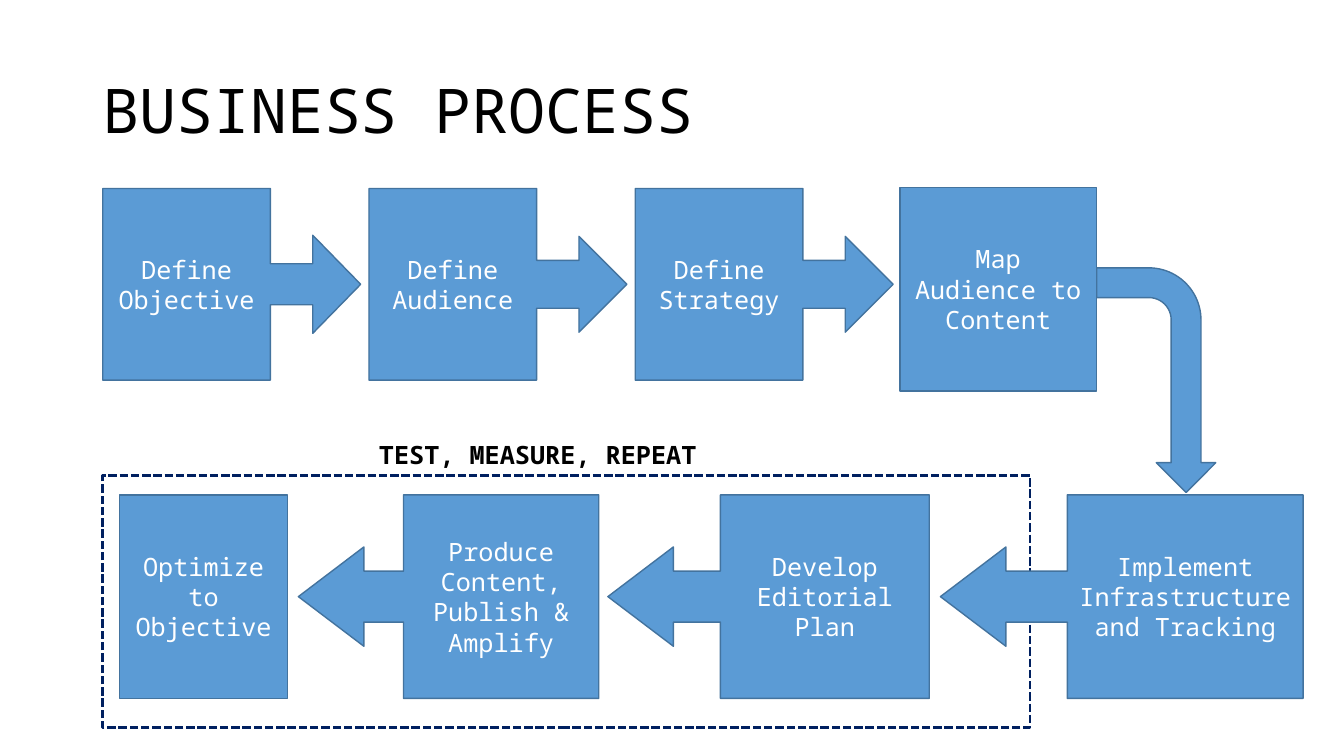
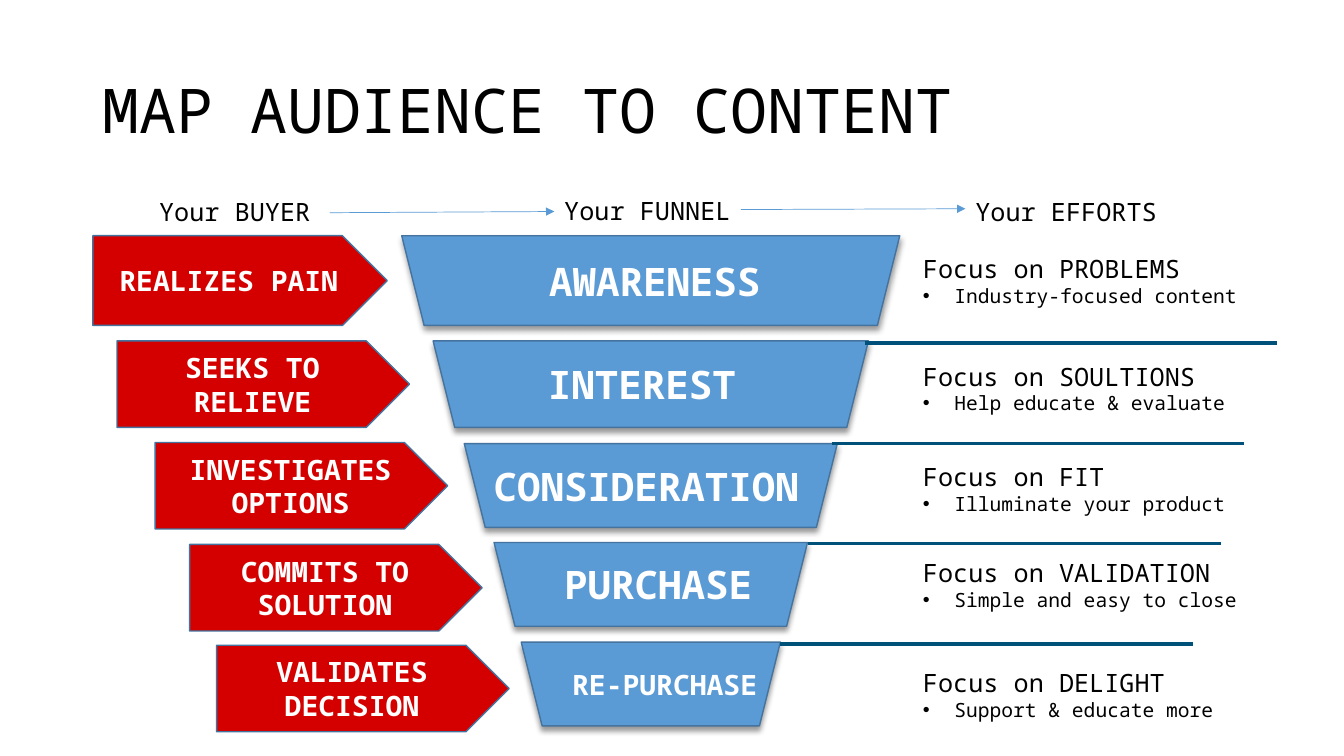
from lxml import etree
from pptx import Presentation
from pptx import util as u
from pptx.dml import color
from pptx.enum import dml, shapes, text
from pptx.oxml import ns

Cm = u.Cm
KIND = shapes.MSO_SHAPE
ALIGN = text.PP_ALIGN
ANCHOR = text.MSO_ANCHOR


def rgb(code):
    return color.RGBColor.from_string(code)


def child(parent, tag, **attributes):
    return etree.SubElement(parent, ns.qn(tag), attributes)


def write(paragraph, words, size=18, ink="000000", bold=False,
          align=ALIGN.LEFT, spacing=None, bullet=False):
    paragraph.alignment = align
    if spacing:
        paragraph.line_spacing = spacing
    if bullet:
        properties = paragraph._p.get_or_add_pPr()
        properties.set("marL", str(Cm(0.79)))
        properties.set("indent", str(-Cm(0.79)))
        child(properties, "a:buFont", typeface="Arial")
        child(properties, "a:buChar", char="•")
    run = paragraph.add_run()
    run.text = words
    run.font.name = Deck.FONT
    run.font.size = u.Pt(size)
    run.font.bold = bold
    run.font.color.rgb = rgb(ink)


class Deck:
    FONT = "Noto Sans Mono"
    BLUE, EDGE, NAVY = "5B9BD5", "43739E", "002060"
    RED, TEAL, WHITE = "D40000", "00517A", "FFFFFF"

    def __init__(self):
        self.show = Presentation()
        self.show.slide_width, self.show.slide_height = Cm(33.87), Cm(19.05)
        self.slide = None

    def new_slide(self, title):
        self.slide = self.show.slides.add_slide(self.show.slide_layouts[6])
        frame = self.frame(2.33, 1.02, 29.21, 3.68, ANCHOR.MIDDLE)
        write(frame.paragraphs[0], title, size=44, spacing=0.9)

    def frame(self, left, top, width, height, anchor=ANCHOR.TOP):
        box = self.slide.shapes.add_textbox(Cm(left), Cm(top), Cm(width), Cm(height))
        box.text_frame.word_wrap = True
        box.text_frame.vertical_anchor = anchor
        return box.text_frame

    def label(self, words, left, top, width, height=1.02, anchor=ANCHOR.TOP, **style):
        write(self.frame(left, top, width, height, anchor).paragraphs[0], words, **style)

    def block(self, kind, left, top, width, height, words="", fill=BLUE,
              adjust=(), turn=0, **style):
        block = self.slide.shapes.add_shape(kind, Cm(left), Cm(top), Cm(width), Cm(height))
        for index, value in enumerate(adjust):
            block.adjustments[index] = value
        block.rotation = turn
        block.fill.solid()
        block.fill.fore_color.rgb = rgb(fill)
        block.line.color.rgb = rgb(self.EDGE)
        block.line.width = u.Pt(1)
        block.shadow.inherit = False
        if words:
            block.text_frame.word_wrap = True
            block.text_frame.vertical_anchor = ANCHOR.MIDDLE
            write(block.text_frame.paragraphs[0], words, ink=self.WHITE,
                  align=ALIGN.CENTER, **style)
        return block

    def dashed_frame(self, left, top, width, height):
        border = self.block(KIND.RECTANGLE, left, top, width, height)
        border.fill.background()
        border.line.color.rgb = rgb(self.NAVY)
        border.line.width = u.Pt(2)
        border.line.dash_style = dml.MSO_LINE.SQUARE_DOT

    def funnel_stage(self, *place):
        stage = self.block(KIND.TRAPEZOID, *place, turn=180)
        effects = stage._element.spPr.find(ns.qn("a:effectLst"))
        shade = child(effects, "a:outerShdw", blurRad=str(u.Pt(4)), dist=str(u.Pt(3)),
                      dir="5400000", algn="t", rotWithShape="0")
        child(child(shade, "a:srgbClr", val="000000"), "a:alpha", val="40000")

    def line(self, x1, y1, x2, y2, ink, width, arrow=False):
        line = self.slide.shapes.add_connector(
            shapes.MSO_CONNECTOR.STRAIGHT, Cm(x1), Cm(y1), Cm(x2), Cm(y2))
        line.line.color.rgb = rgb(ink)
        line.line.width = u.Pt(width)
        if arrow:
            child(line.line._get_or_add_ln(), "a:tailEnd", type="triangle")
        child(line._element.spPr, "a:effectLst")

    def effort(self, top, focus, action):
        frame = self.frame(23.01, top, 9.32, 1.63)
        write(frame.paragraphs[0], focus)
        write(frame.add_paragraph(), action, size=14, bullet=True)


def business_process(deck):
    deck.new_slide("BUSINESS PROCESS")
    deck.dashed_frame(2.59, 11.99, 23.37, 6.35)

    definitions = [
        ("Define Objective", (0.214, 0.256, 0.25, 0.65)),
        ("Define Audience", ()),
        ("Define Strategy", ()),
    ]
    for index, (step, adjust) in enumerate(definitions):
        deck.block(KIND.RIGHT_ARROW_CALLOUT, 2.59 + 6.71 * index, 4.75, 6.5, 4.83,
                   step, adjust=adjust)
    deck.block(KIND.RECTANGLE, 22.68, 4.72, 4.95, 5.13, "Map Audience to Content")
    deck.block(KIND.BENT_ARROW, 26.31, 8.08, 5.66, 3, turn=90)

    delivery = [
        ("Implement Infrastructure and Tracking", 23.7, 9.14),
        ("Develop Editorial Plan", 15.32, 8.1),
        ("Produce Content, Publish & Amplify", 7.52, 7.57),
    ]
    for step, left, width in delivery:
        deck.block(KIND.LEFT_ARROW_CALLOUT, left, 12.47, width, 5.13, step,
                   adjust=(0.25, 0.244, 0.322, 0.65))
    deck.block(KIND.RECTANGLE, 3.02, 12.47, 4.22, 5.13, "Optimize to Objective")
    deck.label("TEST, MEASURE, REPEAT", 9.3, 10.95, 8.99, bold=True)


def audience_map(deck):
    deck.new_slide("MAP AUDIENCE TO CONTENT")

    headings = [
        ("Your BUYER", 3.76, 4.83, 4.55),
        ("Your FUNNEL", 13.97, 4.8, 4.95),
        ("Your EFFORTS", 24.33, 4.83, 5.61),
    ]
    for heading, left, top, width in headings:
        deck.label(heading, left, top, width)
    deck.line(8.31, 5.36, 13.97, 5.33, deck.BLUE, 0.5, arrow=True)
    deck.line(18.67, 5.28, 24.33, 5.26, deck.BLUE, 0.5, arrow=True)

    funnel_centre = 16.4
    funnel = [
        ("AWARENESS", 28, 5.94, 12.55, 2.26, 13.59, 6.65),
        ("INTEREST", 28, 8.59, 10.97, 2.18, 13.56, 5.64),
        ("CONSIDERATION", 28, 11.18, 9.4, 2.11, 12.19, 8.48),
        ("PURCHASE", 28, 13.67, 7.9, 2.11, 13.97, 5.64),
        ("RE-PURCHASE", 20, 16.18, 6.53, 2.11, 14.17, 5.23),
    ]
    for stage, size, top, width, height, label_left, label_width in funnel:
        deck.funnel_stage(funnel_centre - width / 2, top, width, height)
        deck.label(stage, label_left, top, label_width, height, ANCHOR.MIDDLE,
                   size=size, ink=deck.WHITE, bold=True)

    for index, divider_left in enumerate((21.79, 20.96, 20.37, 19.66)):
        divider_top = 8.64 + 2.53 * index
        deck.line(divider_left, divider_top, divider_left + 10.4, divider_top,
                  deck.TEAL, 2.5)

    efforts = [
        (6.27, "Focus on PROBLEMS", "Industry-focused content"),
        (8.97, "Focus on SOULTIONS", "Help educate & evaluate"),
        (11.51, "Focus on FIT", "Illuminate your product"),
        (13.92, "Focus on VALIDATION", "Simple and easy to close"),
        (16.69, "Focus on DELIGHT", "Support & educate more"),
    ]
    for effort in efforts:
        deck.effort(*effort)

    buyer_moves = [
        ("REALIZES PAIN", 2.34, 5.94, 7.42, 2.26),
        ("SEEKS TO RELIEVE", 2.95, 8.59, 7.37, 2.18),
        ("INVESTIGATES OPTIONS", 3.91, 11.15, 7.37, 2.18),
        ("COMMITS TO SOLUTION", 4.78, 13.72, 7.37, 2.18),
        ("VALIDATES DECISION", 5.46, 16.26, 7.37, 2.18),
    ]
    for move, *place in buyer_moves:
        deck.block(KIND.PENTAGON, *place, move, fill=deck.RED, size=20, bold=True)


def main():
    deck = Deck()
    business_process(deck)
    audience_map(deck)
    deck.show.save("out.pptx")


if __name__ == "__main__":
    main()
